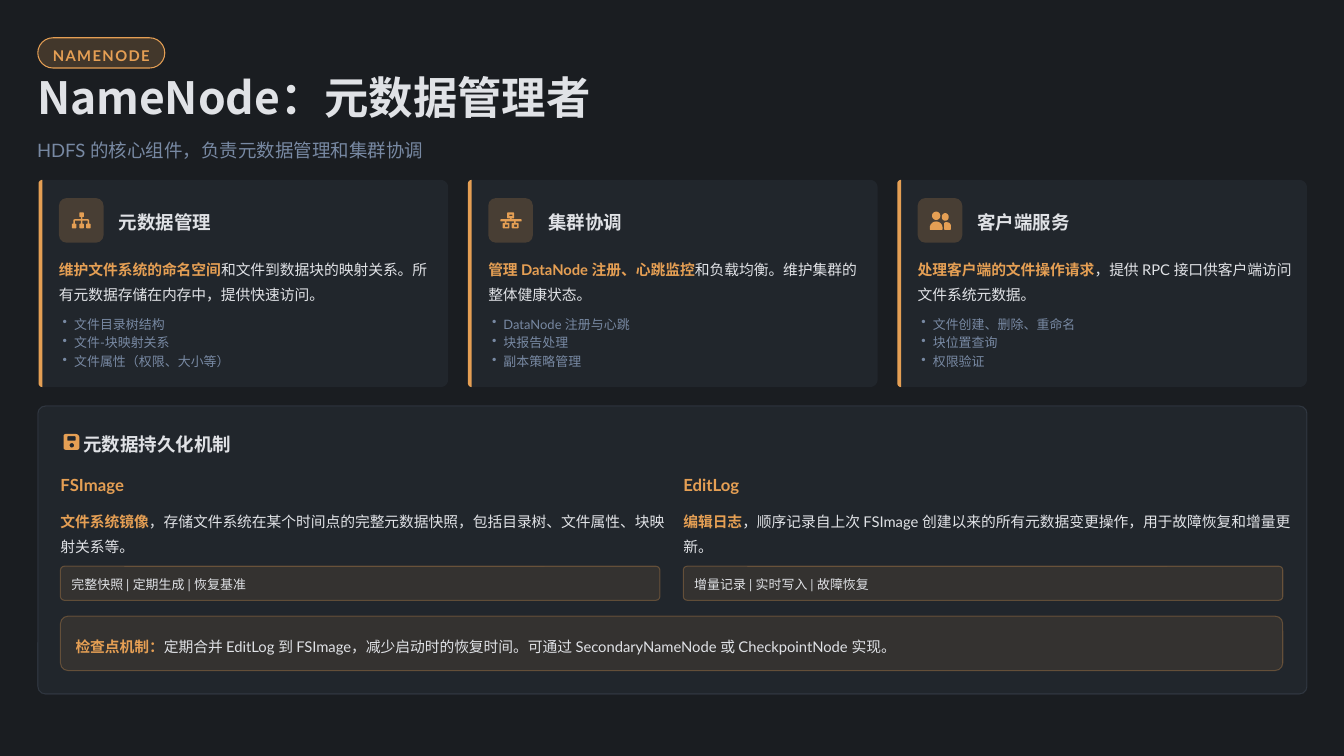
from dataclasses import dataclass
from math import cos, pi, sin

from lxml.etree import SubElement
from pptx import Presentation
from pptx.dml.color import RGBColor
from pptx.enum.shapes import MSO_SHAPE
from pptx.enum.text import MSO_ANCHOR, MSO_AUTO_SIZE, PP_ALIGN
from pptx.oxml.ns import qn
from pptx.util import Inches, Pt


@dataclass(frozen=True)
class Theme:
    page: str = "1A1D21"
    panel: str = "3D4A5C"
    accent: str = "E59F54"
    light: str = "E0E2E6"
    muted: str = "7889A3"
    font: str = "Lato"
    title_font: str = "Noto Sans CJK SC"
    title: float = 42.3
    heading: float = 17.6
    subheading: float = 15.9
    body: float = 14.1
    small: float = 12.3


THEME = Theme()
WIDTH, HEIGHT = 17.78, 10
MARGIN = 0.5
CARD_TOP, CARD_WIDTH, CARD_HEIGHT, CARD_PITCH = 2.38, 5.42, 2.74, 5.68
CARD_PAD = 0.27
TILE = 0.59
STORE_LEFT, STORE_WIDTH, STORE_PITCH = 0.8, 7.93, 8.24


def rounded(left, top, width, height, tl=0.0, tr=0.0, br=0.0, bl=0.0, steps=6):
    """Outline points of a box whose corners have their own radii."""
    right, bottom = left + width, top + height
    corners = [(left + tl, top + tl, tl, 2), (right - tr, top + tr, tr, 3),
               (right - br, bottom - br, br, 0), (left + bl, bottom - bl, bl, 1)]
    points = []
    for x, y, radius, quarter in corners:
        for step in range(steps + 1 if radius else 1):
            angle = (quarter + step / steps) * pi / 2
            points.append((x + radius * cos(angle), y + radius * sin(angle)))
    return points


def disc(left, top, width, height):
    return rounded(left, top, width, height, *[min(width, height) / 2] * 4)


def soft(left, top, width, height):
    return rounded(left, top, width, height, *[1] * 4)


def dome(left, top, width, height):
    return rounded(left, top, width, height, width / 2, width / 2, 1, 1)


# Icon outlines, in hundredths of an inch from the icon's corner
TREE_ICON = [soft(27, 19, 6, 6), rounded(29, 25, 2, 3), rounded(19, 28, 21, 2, 2, 2)]
for leg in (19, 29, 38):
    TREE_ICON += [rounded(leg, 30, 2, 4), soft(leg - 2, 34, 6, 6)]
NETWORK_ICON = [soft(25, 19, 9, 8), rounded(28, 22, 4, 2), rounded(29, 27, 2, 1),
                soft(16, 28, 28, 3)]
for leg in (22, 34):
    NETWORK_ICON += [rounded(leg, 31, 2, 2), soft(leg - 3, 33, 9, 7), rounded(leg, 35, 4, 3)]
USERS_ICON = [disc(19, 18, 11, 11), dome(16, 31, 17, 11),
              disc(32, 20, 9, 10), rounded(35, 32, 9, 10, 2, 5, 1, 1)]
DISK_ICON = [rounded(0, 2, 21, 21, 3, 5, 3, 3), soft(5, 5, 11, 6), disc(8, 14, 6, 6)]


def set_alpha(shape, part, percent):
    """Make the fill (a:solidFill) or the line (a:ln) of a shape see-through."""
    if percent < 100:
        color = next(shape.element.spPr.find(qn(part)).iter(qn("a:srgbClr")))
        SubElement(color, qn("a:alpha"), val=str(percent * 1000))


def paint(shape, color, alpha=100, border=None, border_alpha=100):
    shape.shadow.inherit = False
    shape.fill.solid()
    shape.fill.fore_color.rgb = RGBColor.from_string(color)
    set_alpha(shape, "a:solidFill", alpha)
    if border is None:
        shape.line.fill.background()
        return
    shape.line.width = Pt(1)
    shape.line.color.rgb = RGBColor.from_string(border)
    set_alpha(shape, "a:ln", border_alpha)


def add_outline(slide, contours, color, left=0.0, top=0.0, unit=1.0, alpha=100):
    """Draw closed contours as one shape; a contour inside another is a hole."""
    builder = None
    for contour in contours:
        points = [(Inches(left + x * unit), Inches(top + y * unit)) for x, y in contour]
        if builder is None:
            builder = slide.shapes.build_freeform(*points[0])
        else:
            builder.move_to(*points[0])
        builder.add_line_segments(points[1:], close=True)
    paint(builder.convert_to_shape(), color, alpha)


def add_panel(slide, box, radius, color, alpha, border=None, border_alpha=100):
    panel = slide.shapes.add_shape(MSO_SHAPE.ROUNDED_RECTANGLE, *map(Inches, box))
    panel.adjustments[0] = radius / min(box[2:])
    paint(panel, color, alpha, border, border_alpha)
    return panel


def write(shape, runs, spacing, size, inset=0.0, font=THEME.font, tracking=None):
    """Fill a shape with one paragraph of (text, color, bold) runs."""
    frame = shape.text_frame
    frame_format = {"word_wrap": True, "auto_size": MSO_AUTO_SIZE.NONE,
                    "vertical_anchor": MSO_ANCHOR.MIDDLE, "margin_left": Inches(inset),
                    "margin_right": 0, "margin_top": 0, "margin_bottom": 0}
    for name, value in frame_format.items():
        setattr(frame, name, value)
    add_runs(frame.paragraphs[0], runs, spacing, size, font, tracking)


def add_runs(paragraph, runs, spacing, size, font=THEME.font, tracking=None):
    paragraph.alignment = PP_ALIGN.LEFT
    paragraph.line_spacing = spacing
    for text, color, bold in runs:
        run = paragraph.add_run()
        run.text = text
        for name, value in {"name": font, "size": Pt(size), "bold": bold}.items():
            setattr(run.font, name, value)
        run.font.color.rgb = RGBColor.from_string(color)
        if tracking:
            run._r.get_or_add_rPr().set("spc", str(tracking))


def add_text(slide, box, runs, spacing, size):
    label = slide.shapes.add_textbox(*map(Inches, box))
    write(label, runs, spacing, size)


def add_bullets(slide, box, items):
    bullets = slide.shapes.add_textbox(*map(Inches, box))
    write(bullets, [], 1.0, THEME.small)
    for index, item in enumerate(items):
        frame = bullets.text_frame
        paragraph = frame.add_paragraph() if index else frame.paragraphs[0]
        properties = paragraph._p.get_or_add_pPr()
        properties.set("marL", str(Inches(0.2)))
        properties.set("indent", str(-Inches(0.15)))
        add_runs(paragraph, [(item, THEME.muted, False)], Pt(17.7), THEME.small)
        SubElement(properties, qn("a:buChar"), char="•")


def lead_in(lead, rest):
    return [(lead, THEME.accent, True), (rest, THEME.light, False)]


def add_header(slide):
    badge = add_panel(slide, (MARGIN, 0.5, 1.68, 0.4), 0.2, THEME.accent, 20, THEME.accent)
    write(badge, [("NAMENODE", THEME.accent, True)], 1.3, THEME.body, 0.14, tracking=140)
    title = slide.shapes.title
    for name, value in {"left": 0.49, "top": 1.05, "width": 17.09, "height": 0.59}.items():
        setattr(title, name, Inches(value))
    write(title, [("NameNode：元数据管理者", THEME.light, True)], 0.8, THEME.title,
          font=THEME.title_font)
    add_text(slide, (0.49, 1.79, 16.92, 0.34),
             [("HDFS 的核心组件，负责元数据管理和集群协调", THEME.muted, False)], 1.2, THEME.heading)


def add_card(slide, column, icon, heading, lead, rest, items):
    left = 0.51 + column * CARD_PITCH
    inner, tile_top = left + CARD_PAD, CARD_TOP + 0.24
    add_outline(slide, [rounded(left, CARD_TOP, CARD_WIDTH, CARD_HEIGHT, 0.05, 0.1, 0.1, 0.05)],
                THEME.panel, alpha=20)
    add_outline(slide, [rounded(left, CARD_TOP, 0.05, CARD_HEIGHT, tl=0.05, bl=0.05)],
                THEME.accent)
    add_panel(slide, (inner, tile_top, TILE, TILE), 0.1, THEME.accent, 20)
    add_outline(slide, icon, THEME.accent, inner, tile_top, 0.01)
    add_text(slide, (inner + 0.79, 2.74, 3, 0.34), [(heading, THEME.light, True)], 1.2,
             THEME.heading)
    add_text(slide, (inner, 3.36, 5, 0.64), lead_in(lead, rest), 1.4, THEME.body)
    add_bullets(slide, (inner, 4.14, 4.99, 0.74), items)


def add_store(slide, column, name, lead, rest, tags):
    left = STORE_LEFT + column * STORE_PITCH
    add_text(slide, (left, 6.21, 8.05, 0.34), [(name, THEME.accent, True)], 1.3,
             THEME.subheading)
    add_text(slide, (left, 6.7, 8.04, 0.64), lead_in(lead, rest), 1.4, THEME.body)
    strip = add_panel(slide, (left, 7.49, STORE_WIDTH, 0.45), 0.05, THEME.accent, 10,
                      THEME.accent, 30)
    write(strip, [(tags, THEME.light, False)], 1.2, THEME.small, 0.13)


def main():
    deck = Presentation()
    deck.slide_width, deck.slide_height = Inches(WIDTH), Inches(HEIGHT)
    slide = deck.slides.add_slide(deck.slide_layouts[5])
    slide.background.fill.solid()
    slide.background.fill.fore_color.rgb = RGBColor.from_string(THEME.page)
    add_header(slide)

    cards = [
        (TREE_ICON, "元数据管理", "维护文件系统的命名空间",
         "和文件到数据块的映射关系。所有元数据存储在内存中，提供快速访问。",
         ["文件目录树结构", "文件-块映射关系", "文件属性（权限、大小等）"]),
        (NETWORK_ICON, "集群协调", "管理 DataNode 注册、心跳监控",
         "和负载均衡。维护集群的整体健康状态。",
         ["DataNode 注册与心跳", "块报告处理", "副本策略管理"]),
        (USERS_ICON, "客户端服务", "处理客户端的文件操作请求",
         "，提供 RPC 接口供客户端访问文件系统元数据。",
         ["文件创建、删除、重命名", "块位置查询", "权限验证"]),
    ]
    for column, card in enumerate(cards):
        add_card(slide, column, *card)

    add_panel(slide, (MARGIN, 5.37, 16.79, 3.81), 0.1, THEME.panel, 20, THEME.muted, 20)
    add_outline(slide, DISK_ICON, THEME.accent, 0.84, 5.72, 0.01)
    add_text(slide, (1.1, 5.67, 16, 0.34), [("元数据持久化机制", THEME.light, True)], 1.2,
             THEME.heading)
    stores = [
        ("FSImage", "文件系统镜像",
         "，存储文件系统在某个时间点的完整元数据快照，包括目录树、文件属性、块映射关系等。",
         "完整快照 | 定期生成 | 恢复基准"),
        ("EditLog", "编辑日志",
         "，顺序记录自上次 FSImage 创建以来的所有元数据变更操作，用于故障恢复和增量更新。",
         "增量记录 | 实时写入 | 故障恢复"),
    ]
    for column, store in enumerate(stores):
        add_store(slide, column, *store)
    checkpoint = add_panel(slide, (STORE_LEFT, 8.15, STORE_PITCH + STORE_WIDTH, 0.72), 0.1,
                           THEME.accent, 10, THEME.accent, 30)
    write(checkpoint, lead_in("检查点机制：", "定期合并 EditLog 到 FSImage，减少启动时的恢复时间。"
                              "可通过 SecondaryNameNode 或 CheckpointNode 实现。"),
          1.4, THEME.body, 0.17)
    deck.save("out.pptx")


if __name__ == "__main__":
    main()
